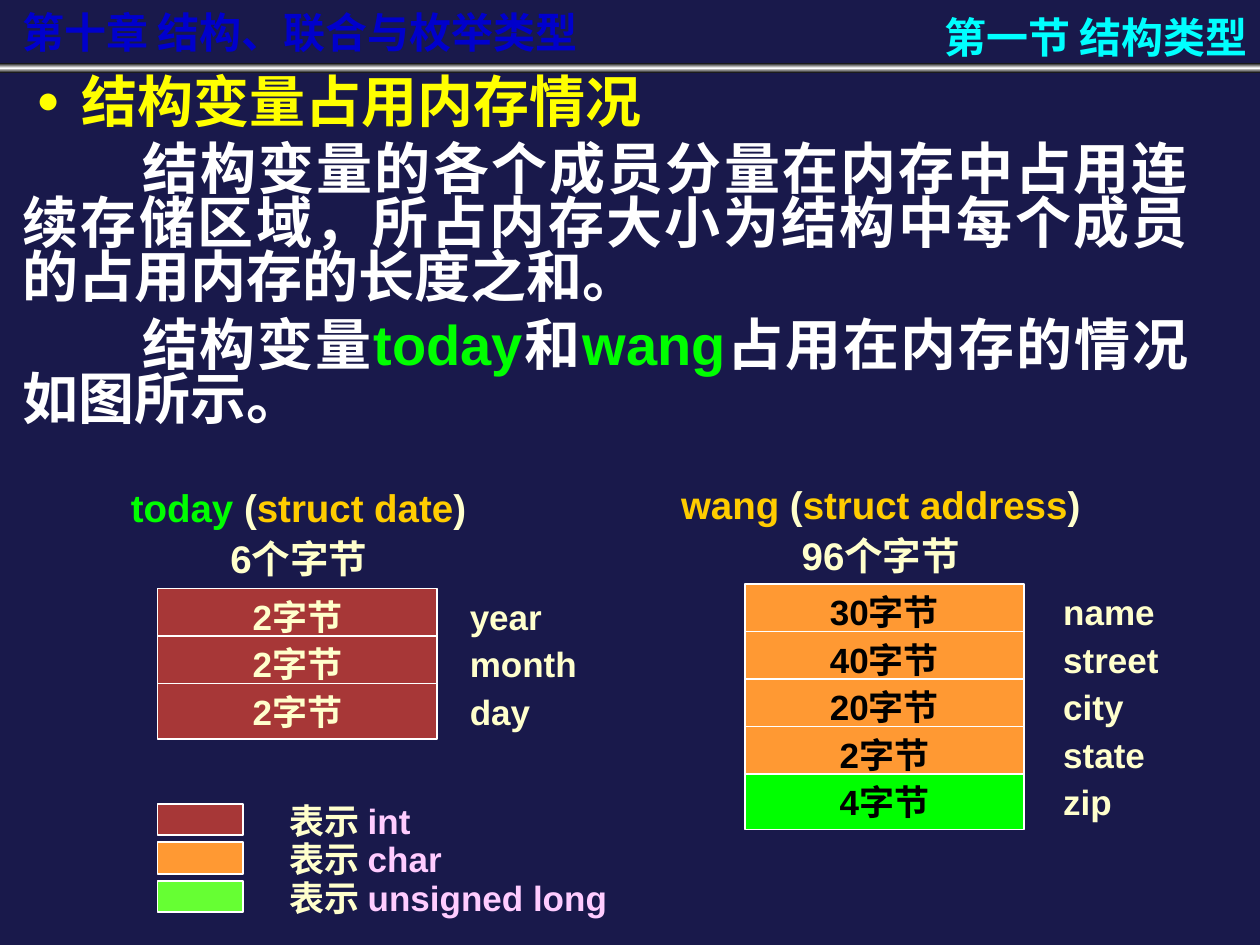
from copy import deepcopy
from dataclasses import dataclass

from lxml.etree import SubElement
from pptx import Presentation
from pptx.dml.color import RGBColor
from pptx.enum.shapes import MSO_SHAPE
from pptx.enum.text import MSO_ANCHOR, PP_ALIGN
from pptx.oxml.ns import qn
from pptx.util import Inches, Pt

NAVY = RGBColor(0x19, 0x19, 0x4B)
BLUE = RGBColor(0x00, 0x00, 0xCC)
CYAN = RGBColor(0x00, 0xFF, 0xFF)
YELLOW = RGBColor(0xFF, 0xFF, 0x00)
WHITE = RGBColor(0xFF, 0xFF, 0xFF)
SILVER = RGBColor(0xFE, 0xFE, 0xFE)
BLACK = RGBColor(0x00, 0x00, 0x00)
CREAM = RGBColor(0xFF, 0xFF, 0xCC)
GOLD = RGBColor(0xFF, 0xCC, 0x00)
PINK = RGBColor(0xFF, 0xCC, 0xFF)
GREEN = RGBColor(0x00, 0xFF, 0x00)
LIME = RGBColor(0x66, 0xFF, 0x33)
RED = RGBColor(0xA7, 0x37, 0x37)
ORANGE = RGBColor(0xFF, 0x99, 0x33)

LATIN, HAN = "Arial", "Noto Sans CJK SC"
WIDE, HIGH = Inches(10), Inches(7.5)
STEP, CELL = 5.03, 5.87  # row pitch and cell height of a memory map

Run = tuple[str, RGBColor]


@dataclass
class Box:
    """Left, top, width and height in percent of the slide."""
    x: float
    y: float
    w: float
    h: float

    def place(self) -> tuple[int, int, int, int]:
        return (int(WIDE * self.x / 100), int(HIGH * self.y / 100),
                int(WIDE * self.w / 100), int(HIGH * self.h / 100))


@dataclass
class Field:
    name: str
    size: str
    fill: RGBColor


@dataclass
class Memory:
    """One struct: its heading, its cells and the names beside them."""
    head: Box
    title: list[Run]
    total: str
    x: float
    y: float
    side: Box
    ink: RGBColor
    fields: list[Field]


def write(shape, paras: list[list[Run]], *, size: float, font=LATIN,
          align=PP_ALIGN.LEFT, anchor=MSO_ANCHOR.MIDDLE, line=None, gap=0):
    frame = shape.text_frame
    frame.word_wrap = True
    frame.vertical_anchor = anchor
    for i, runs in enumerate(paras):
        para = frame.add_paragraph() if i else frame.paragraphs[0]
        para.alignment = align
        if line:
            para.line_spacing = line
        if i:
            para.space_before = Pt(gap)
        for text, ink in runs:
            run = para.add_run()
            run.text = text
            run.font.size, run.font.bold, run.font.name = Pt(size), True, font
            run.font.color.rgb = ink
            SubElement(run.font._element, qn("a:ea"), typeface=HAN)
    return frame


def label(parent, box: Box, paras: list[list[Run]], **style):
    return write(parent.add_textbox(*box.place()), paras, **style)


def block(parent, box: Box, fill: RGBColor):
    shape = parent.add_shape(MSO_SHAPE.RECTANGLE, *box.place())
    shape.shadow.inherit = False
    shape.fill.solid()
    shape.fill.fore_color.rgb = fill
    shape.line.color.rgb = WHITE
    shape.line.width = Pt(1)
    return shape


def indent(para, left: float, first: float) -> None:
    props = para._p.get_or_add_pPr()
    props.set("marL", str(Inches(left)))
    props.set("indent", str(Inches(first)))


def bullet(para, mark: str, ink: RGBColor, share: int) -> None:
    props = para._p.get_or_add_pPr()
    color = SubElement(props, qn("a:buClr"))
    SubElement(color, qn("a:srgbClr"), val=str(ink))
    SubElement(props, qn("a:buSzPct"), val=str(share * 1000))
    SubElement(props, qn("a:buFont"), typeface=LATIN)
    SubElement(props, qn("a:buChar"), char=mark)


def shade(run) -> None:
    """Give the run a small grey shadow."""
    props = run.font._element
    effect = SubElement(props, qn("a:effectLst"))
    drop = SubElement(effect, qn("a:outerShdw"), dist="25400", dir="2700000")
    SubElement(drop, qn("a:srgbClr"), val="808080")
    props.find(qn("a:latin")).addprevious(effect)


def rule(parent, box: Box) -> None:
    """Draw the bar under the header, bright in its middle."""
    bar = parent.add_shape(MSO_SHAPE.RECTANGLE, *box.place())
    bar.shadow.inherit = False
    bar.line.fill.background()
    bar.fill.gradient()
    bar.fill.gradient_angle = 90
    first = bar.fill._xPr.find(qn("a:gradFill")).find(qn("a:gsLst"))[0]
    first.addnext(deepcopy(first))
    for stop, place, ink in zip(bar.fill.gradient_stops, (0, 0.5, 1),
                                (BLACK, SILVER, BLACK)):
        stop.position = place
        stop.color.rgb = ink


def draw(slide, part: Memory) -> None:
    group = slide.shapes.add_group_shape().shapes
    label(group, part.head, [part.title, [(part.total, CREAM)]], size=22,
          align=PP_ALIGN.CENTER, line=0.9, gap=5.5)
    for i, field in enumerate(part.fields):
        top = part.y + i * STEP
        cell = block(group, Box(part.x, top, 22.2, CELL), field.fill)
        write(cell, [[(field.size, part.ink)]], size=20, align=PP_ALIGN.CENTER)
        side = Box(part.side.x, top, part.side.w, CELL)
        label(group, side, [[(field.name, CREAM)]], size=20)


def legend(slide, keys: list[Run]) -> None:
    group = slide.shapes.add_group_shape().shapes
    for i, (kind, fill) in enumerate(keys):
        drop = i * 4.07
        block(group, Box(12.5, 85.07 + drop, 6.8, 3.33), fill)
        label(group, Box(22, 83.87 + drop, 27.9, CELL),
              [[("表示 ", CREAM), (kind, PINK)]], size=20)


TODAY = Memory(
    Box(9.2, 51.07, 29, 11.2),
    [("today", GREEN), (" (", CREAM), ("struct date", GOLD), (")", CREAM)],
    "6个字节", 12.5, 62.27, Box(36.3, 0, 11.9, 0), CREAM,
    [Field(name, "2字节", RED) for name in ("year", "month", "day")])
WANG = Memory(
    Box(53, 50.8, 33.8, 11.2),
    [("wang ", GOLD), ("(", CREAM), ("struct address", GOLD), (")", CREAM)],
    "96个字节", 59.1, 61.8, Box(83.4, 0, 13.3, 0), BLACK,
    [Field("name", "30字节", ORANGE), Field("street", "40字节", ORANGE),
     Field("city", "20字节", ORANGE), Field("state", "2字节", ORANGE),
     Field("zip", "4字节", GREEN)])
BODY = [
    [("结构变量占用内存情况", YELLOW)],
    [("结构变量的各个成员分量在内存中占用连续存储区域，"
      "所占内存大小为结构中每个成员的占用内存的长度之和。", WHITE)],
    [("结构变量", WHITE), ("today", GREEN), ("和", WHITE), ("wang", GREEN),
     ("占用在内存的情况如图所示。", WHITE)],
]


def main() -> None:
    deck = Presentation()
    deck.slide_width, deck.slide_height = WIDE, HIGH
    slide = deck.slides.add_slide(deck.slide_layouts[6])
    slide.background.fill.solid()
    slide.background.fill.fore_color.rgb = NAVY

    # Header
    rule(slide.shapes, Box(0, 6.67, 100, 1.07))
    head = label(slide.shapes, Box(0.8, 1.07, 50, 5.6),
                 [[("第十章 结构、联合与枚举类型", BLUE)]],
                 size=24, font=HAN, anchor=MSO_ANCHOR.BOTTOM)
    shade(head.paragraphs[0].runs[0])
    label(slide.shapes, Box(60.8, 0, 39.2, 7.73), [[("第一节 结构类型", CYAN)]],
          size=24, font=HAN, align=PP_ALIGN.RIGHT)

    # Explanation
    text = label(slide.shapes, Box(0.8, 7.73, 94.5, 42.27), BODY, size=32,
                 align=PP_ALIGN.JUSTIFY, anchor=MSO_ANCHOR.TOP,
                 line=0.8, gap=8)
    topic, *rest = text.paragraphs
    indent(topic, 0.47, -0.36)
    bullet(topic, "●", YELLOW, 70)
    for para in rest:
        indent(para, 0, 0.95)

    # Memory maps and colour key
    for part in (TODAY, WANG):
        draw(slide, part)
    legend(slide, [("int", RED), ("char", ORANGE), ("unsigned long", LIME)])

    deck.save("out.pptx")


if __name__ == "__main__":
    main()
